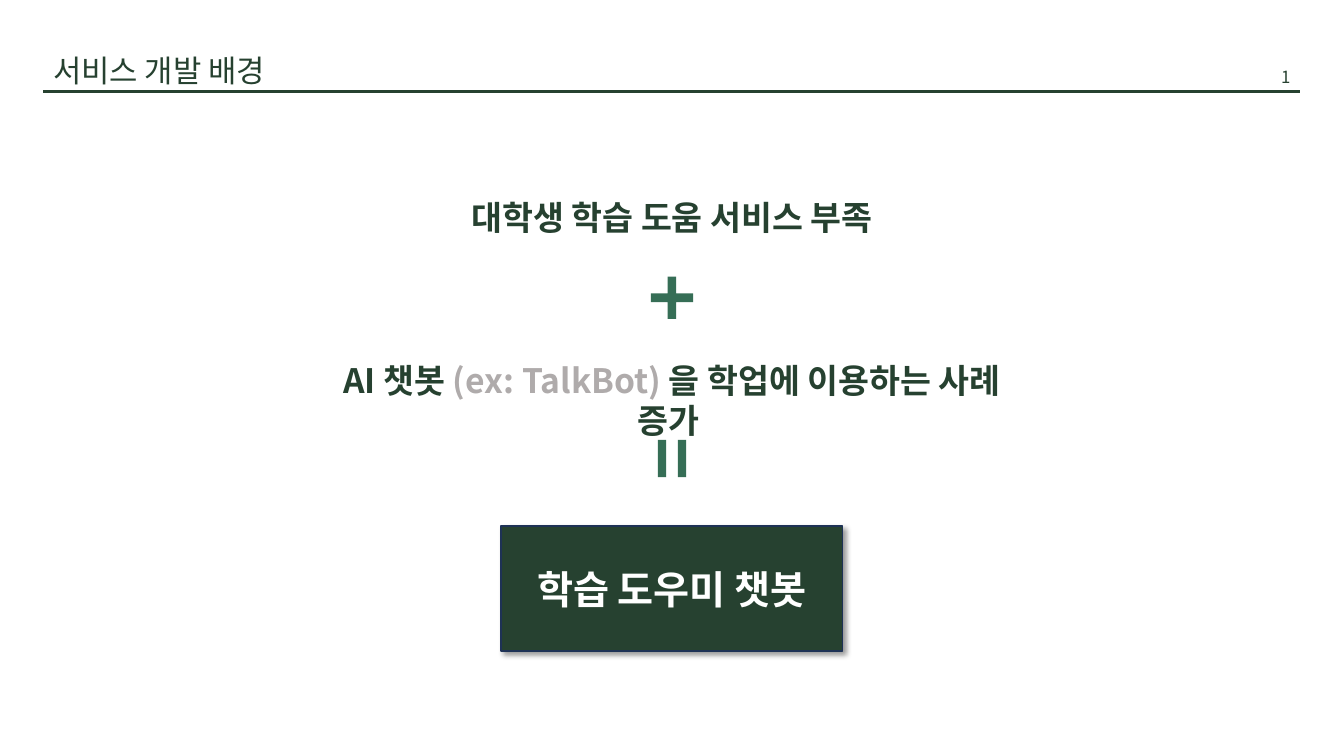
import pptx
import pptx.dml.color
import pptx.enum.shapes
import pptx.enum.text
import pptx.oxml
import pptx.oxml.ns
import pptx.util

Cm, Pt = pptx.util.Cm, pptx.util.Pt
RGB = pptx.dml.color.RGBColor.from_string
Kind = pptx.enum.shapes.MSO_SHAPE
Align = pptx.enum.text.PP_ALIGN
NS = pptx.oxml.ns.nsdecls("a")


class Theme:
    face = "Noto Sans CJK KR"
    dark, mid, grey, white, edge = "264130", "366E56", "AFABAB", "FFFFFF", "1E3256"
    page, title, body, goal = 12, 22, 24, 28


def write(shape, runs, size, align, bold=False):
    """Fill a shape with one paragraph of (text, colour) runs."""
    frame = shape.text_frame
    frame.word_wrap = True
    para = frame.paragraphs[0]
    para.alignment = align
    for text, color in runs:
        run = para.add_run()
        run.text = text
        for name, value in {"name": Theme.face, "size": Pt(size), "bold": bold}.items():
            setattr(run.font, name, value)
        run.font.color.rgb = RGB(color)
        run.font._element.append(
            pptx.oxml.parse_xml(f'<a:ea {NS} typeface="{Theme.face}"/>'))


def place(kind, top, wide, high, fill):
    """Add a plain filled shape centred across the slide."""
    shape = slide.shapes.add_shape(
        kind, (deck.slide_width - Cm(wide)) // 2, Cm(top), Cm(wide), Cm(high))
    shape.shadow.inherit = False
    shape.fill.solid()
    shape.fill.fore_color.rgb = RGB(fill)
    shape.line.fill.background()
    return shape


deck = pptx.Presentation()
deck.slide_width, deck.slide_height = Cm(33.87), Cm(19.05)
slide = deck.slides.add_slide(deck.slide_layouts[6])

# Header
rule = slide.shapes.add_connector(
    pptx.enum.shapes.MSO_CONNECTOR.STRAIGHT, Cm(1.09), Cm(2.31), Cm(32.77), Cm(2.31))
rule.line.color.rgb = RGB(Theme.dark)
rule.line.width = Pt(2)
rule._element.spPr.append(pptx.oxml.parse_xml(f"<a:effectLst {NS}/>"))

# Text boxes: left, top, width, height, runs, size, alignment, bold
dark = Theme.dark
use = [("AI 챗봇 ", dark), ("(ex: TalkBot)", Theme.grey),
       (" 을 학업에 이용하는 사례 증가 ", dark)]
lack = [("대학생 학습 도움 서비스 부족", dark)]
boxes = [
    (1.09, 1.19, 6.73, 1.19, [("서비스 개발 배경", dark)], Theme.title, Align.LEFT, False),
    (29.64, 1.55, 3.13, 0.76, [("1", dark)], Theme.page, Align.RIGHT, False),
    (8.35, 4.83, 17.17, 1.27, lack, Theme.body, Align.CENTER, True),
    (7.65, 8.94, 18.57, 1.27, use, Theme.body, Align.CENTER, True),
]
for left, top, wide, high, runs, size, align, bold in boxes:
    box = slide.shapes.add_textbox(Cm(left), Cm(top), Cm(wide), Cm(high))
    write(box, runs, size, align, bold)

# Signs between the steps
plus = place(Kind.MATH_PLUS, 6.78, 1.45, 1.45, Theme.mid)
plus.adjustments[0] = 0.15
equal = place(Kind.MATH_EQUAL, 10.97, 1.27, 1.17, Theme.mid)
equal.rotation = 90
equal.adjustments[0] = 0.18
equal.adjustments[1] = 0.25

# Result
goal = place(Kind.RECTANGLE, 13.26, 8.61, 3.15, Theme.dark)
goal.line.color.rgb = RGB(Theme.edge)
goal.line.width = Pt(1)
goal.text_frame.vertical_anchor = pptx.enum.text.MSO_ANCHOR.MIDDLE
write(goal, [("학습 도우미 챗봇", Theme.white)], Theme.goal, Align.CENTER, True)
glow = goal._element.spPr.find(pptx.oxml.ns.qn("a:effectLst"))
glow.append(pptx.oxml.parse_xml(
    f'<a:outerShdw {NS} blurRad="{Pt(4)}" dist="{Pt(3)}" dir="2700000" algn="tl" '
    'rotWithShape="0"><a:srgbClr val="000000"><a:alpha val="40000"/></a:srgbClr>'
    '</a:outerShdw>'))

deck.save("out.pptx")
